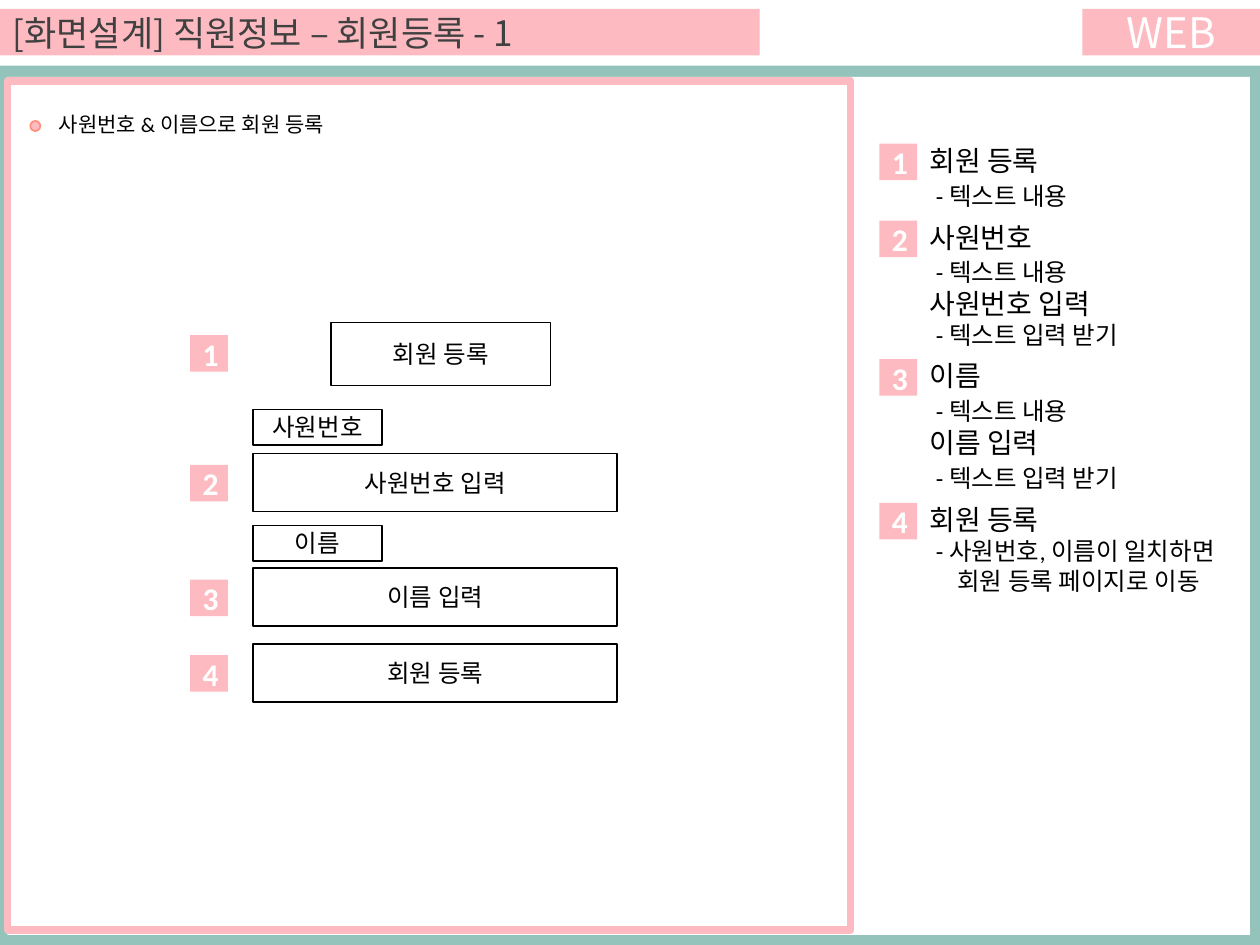
from dataclasses import dataclass

from lxml.etree import SubElement
from pptx import Presentation
from pptx.dml.color import RGBColor
from pptx.enum.shapes import MSO_SHAPE as SHAPE
from pptx.enum.text import MSO_ANCHOR as ANCHOR, MSO_AUTO_SIZE as AUTO, PP_ALIGN as ALIGN
from pptx.oxml.ns import qn
from pptx.util import Inches, Pt


@dataclass(frozen=True)
class Theme:
    pink: str = "FDBBC1"
    teal: str = "94C3BB"
    coral: str = "FE907E"
    white: str = "FFFFFF"
    black: str = "000000"
    gray: str = "404040"
    body_font: str = "Calibri"
    korean_font: str = "Noto Sans CJK KR"
    tag: int = 24
    title: int = 20
    badge: int = 18
    heading: int = 16
    body: int = 14
    caption: int = 12


T = Theme()
BADGE_W, BADGE_H = 0.3, 0.29

# Wireframe boxes: text, left, top, width, height
FIELDS = [
    ("회원 등록", 2.63, 2.56, 1.74, 0.5),
    ("사원번호", 2.01, 3.25, 1.02, 0.28),
    ("사원번호 입력", 2.01, 3.6, 2.89, 0.46),
    ("이름", 2.01, 4.17, 1.02, 0.28),
    ("이름 입력", 2.01, 4.51, 2.89, 0.46),
    ("회원 등록", 2.01, 5.11, 2.89, 0.46),
]
FIELD_BADGE_TOPS = [2.66, 3.69, 4.6, 5.2]

# Line styles: size, indent in inches, space before in points
HEADING = dict(size=T.heading)
DETAIL = dict(size=T.body, indent=0.05, before=2)
TIGHT = dict(size=T.body, indent=0.05)
CONTINUED = dict(size=T.body, indent=0.22)

# Notes: top, height, lines
NOTES = [
    (1.09, 0.64, [("회원 등록", HEADING), ("- 텍스트 내용", DETAIL)]),
    (1.7, 1.14, [("사원번호", HEADING), ("- 텍스트 내용", DETAIL),
                 ("사원번호 입력", HEADING), ("- 텍스트 입력 받기", TIGHT)]),
    (2.8, 1.18, [("이름", HEADING), ("- 텍스트 내용", DETAIL),
                 ("이름 입력", HEADING), ("- 텍스트 입력 받기", DETAIL)]),
    (3.94, 0.84, [("회원 등록", HEADING), ("- 사원번호, 이름이 일치하면", TIGHT),
                  ("회원 등록 페이지로 이동", CONTINUED)]),
]


def rgb(value):
    return RGBColor.from_string(value)


def write(p, text, size=T.body, color=T.black, font=T.body_font, bold=False,
          align=ALIGN.LEFT, indent=0, before=0):
    p.alignment = align
    p.space_before = Pt(before)
    if indent:
        p._p.get_or_add_pPr().set("marL", str(Inches(indent)))
    r = p.add_run()
    r.text = text
    r.font.size = Pt(size)
    r.font.bold = bold
    r.font.color.rgb = rgb(color)
    r.font.name = font
    SubElement(r.font._element, qn("a:ea")).set("typeface", T.korean_font)


def add_box(shapes, left, top, width, height, fill=None, line=None, line_width=1,
            kind=SHAPE.RECTANGLE, text="", **text_format):
    sp = shapes.add_shape(kind, Inches(left), Inches(top), Inches(width), Inches(height))
    sp.shadow.inherit = False
    if fill:
        sp.fill.solid()
        sp.fill.fore_color.rgb = rgb(fill)
    else:
        sp.fill.background()
    if line:
        sp.line.color.rgb = rgb(line)
        sp.line.width = Pt(line_width)
    else:
        sp.line.fill.background()
    if text:
        sp.text_frame.vertical_anchor = ANCHOR.MIDDLE
        write(sp.text_frame.paragraphs[0], text, align=ALIGN.CENTER, **text_format)


def add_badge(shapes, number, left, top):
    add_box(shapes, left, top, BADGE_W, BADGE_H, fill=T.pink, text=str(number),
            size=T.badge, color=T.white, bold=True)


def add_lines(shapes, left, top, width, height, lines):
    tb = shapes.add_textbox(Inches(left), Inches(top), Inches(width), Inches(height))
    tf = tb.text_frame
    tf.word_wrap = True
    tf.auto_size = AUTO.SHAPE_TO_FIT_TEXT
    for i, (text, style) in enumerate(lines):
        write(tf.add_paragraph() if i else tf.paragraphs[0], text, **style)


def format_title(title, text):
    title.left, title.top = Inches(0), Inches(0.07)
    title.width, title.height = Inches(6.03), Inches(0.37)
    title.fill.solid()
    title.fill.fore_color.rgb = rgb(T.pink)
    tf = title.text_frame
    tf.auto_size = AUTO.NONE
    tf.vertical_anchor = ANCHOR.MIDDLE
    write(tf.paragraphs[0], text, size=T.title, color=T.gray, font=T.korean_font)


def add_frame(shapes):
    add_box(shapes, 0, 0.52, 10, 6.98, fill=T.teal)
    add_box(shapes, 0.06, 0.61, 9.86, 6.81, fill=T.white)
    add_box(shapes, 0.06, 0.64, 6.69, 6.74, line=T.pink, line_width=4.5)


def add_wireframe(shapes):
    for number, top in enumerate(FIELD_BADGE_TOPS, 1):
        add_badge(shapes, number, 1.51, top)
    for text, *place in FIELDS:
        add_box(shapes, *place, fill=T.white, line=T.black, text=text)


def add_notes(shapes):
    for number, (top, height, lines) in enumerate(NOTES, 1):
        group = shapes.add_group_shape().shapes
        add_badge(group, number, 6.98, top + 0.05)
        add_lines(group, 7.28, top, 2.65, height, lines)


def main():
    prs = Presentation()
    prs.slide_width, prs.slide_height = Inches(10), Inches(7.5)
    s = prs.slides.add_slide(prs.slide_layouts[5])
    format_title(s.shapes.title, "[화면설계] 직원정보 – 회원등록 - 1")
    add_frame(s.shapes)
    add_box(s.shapes, 0.24, 0.96, 0.08, 0.08, fill=T.pink, line=T.coral, kind=SHAPE.OVAL)
    add_lines(s.shapes, 0.33, 0.84, 3.86, 0.3,
              [("사원번호 & 이름으로 회원 등록", dict(size=T.caption, indent=0.04))])
    add_box(s.shapes, 8.59, 0.07, 1.41, 0.37, fill=T.pink, text="WEB",
            size=T.tag, color=T.white, font=T.korean_font)
    add_wireframe(s.shapes)
    add_notes(s.shapes)
    prs.save("out.pptx")


if __name__ == "__main__":
    main()
